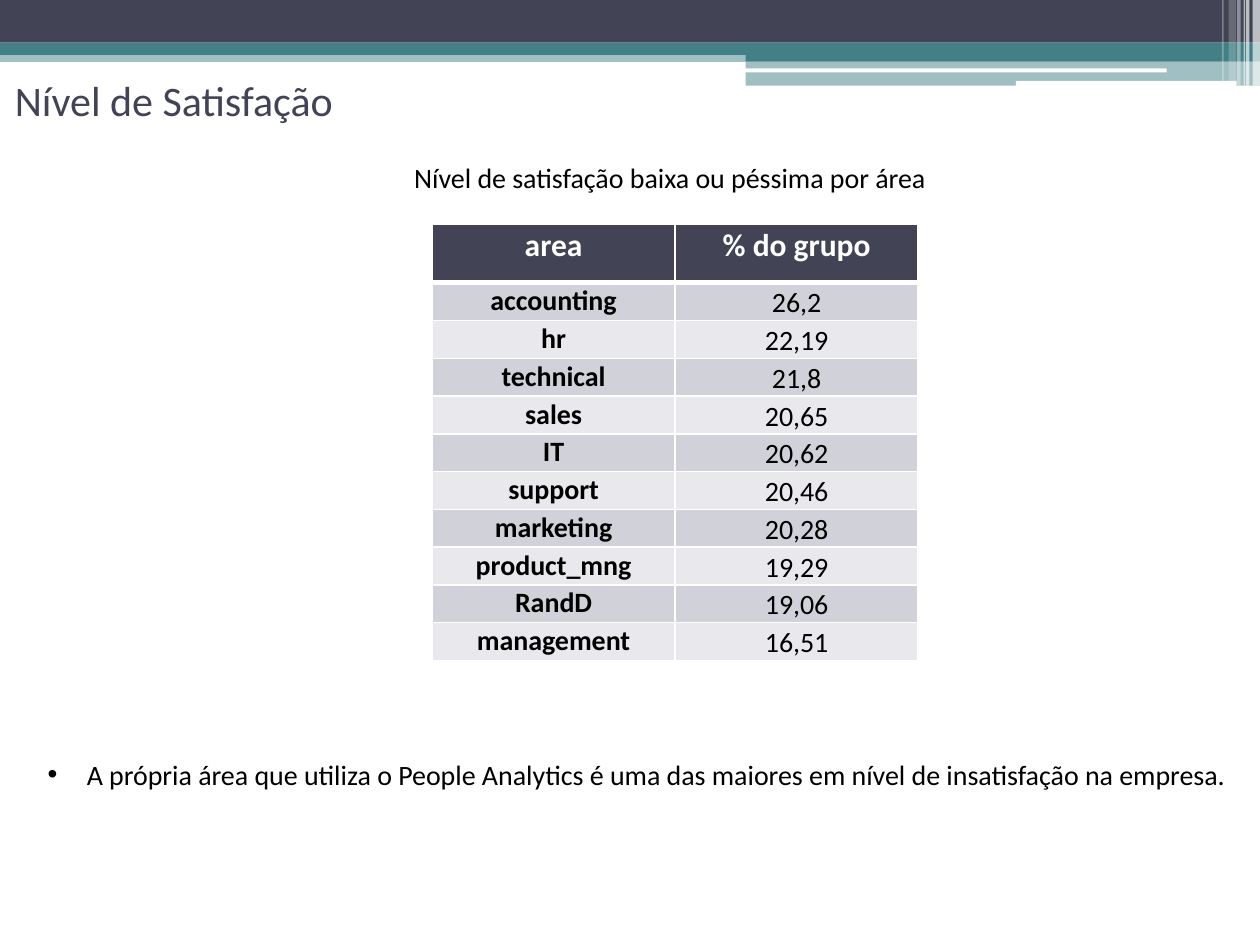
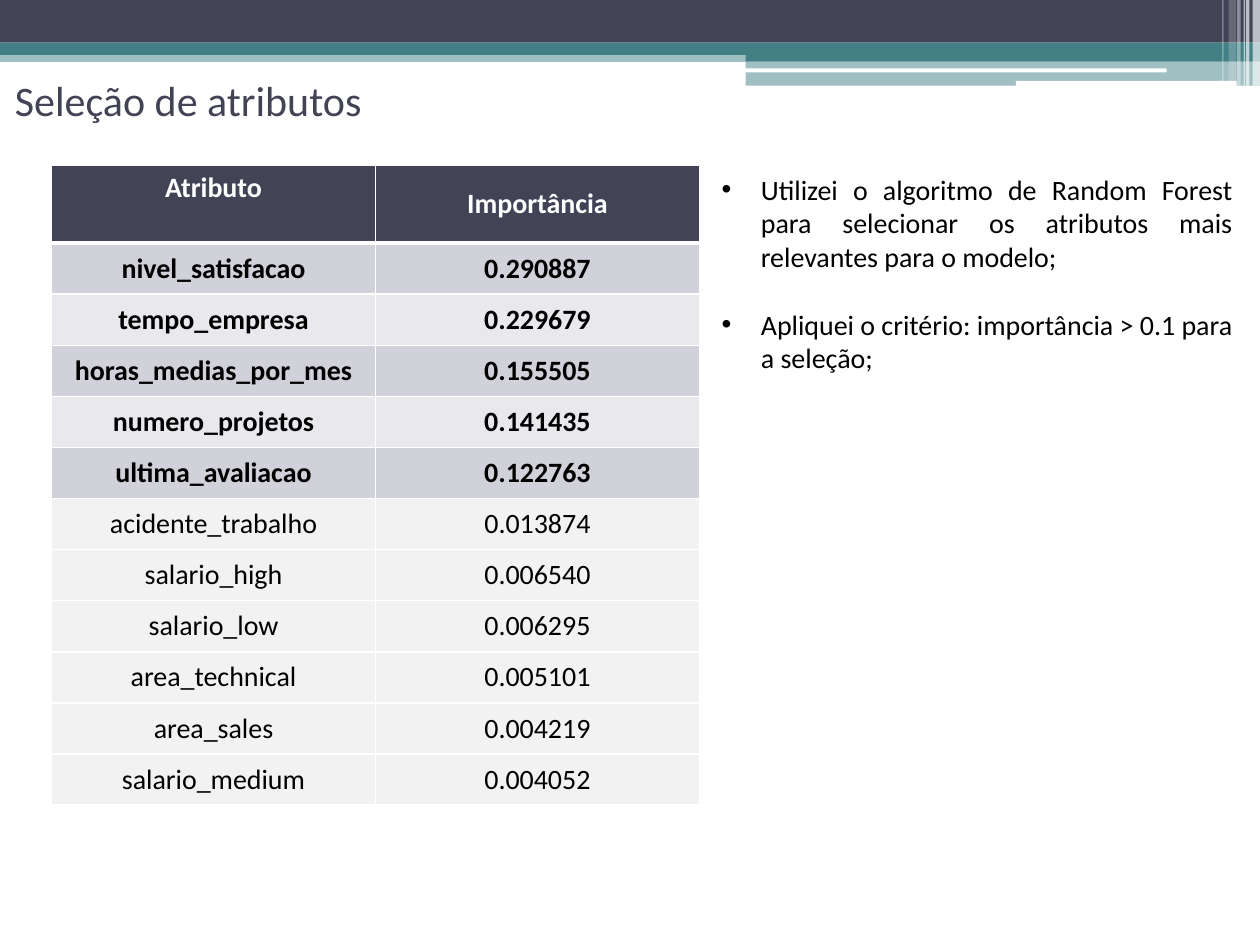
from dataclasses import dataclass
from typing import Any, Callable, NamedTuple

from lxml.etree import SubElement
from pptx import Presentation
from pptx.dml.color import RGBColor
from pptx.enum.shapes import MSO_SHAPE
from pptx.enum.text import MSO_ANCHOR, PP_ALIGN
from pptx.oxml.ns import qn
from pptx.util import Cm, Pt


# Theme
@dataclass(frozen=True)
class Theme:
    font: str = "Calibri"
    dark: RGBColor = RGBColor(0x42, 0x44, 0x56)
    teal: RGBColor = RGBColor(0x43, 0x80, 0x86)
    white: RGBColor = RGBColor(0xFF, 0xFF, 0xFF)
    black: RGBColor = RGBColor(0, 0, 0)
    band_odd: RGBColor = RGBColor(0xD1, 0xD1, 0xDA)
    band_even: RGBColor = RGBColor(0xE9, 0xE9, 0xED)
    muted: RGBColor = RGBColor(0xF2, 0xF2, 0xF2)
    title: Pt = Pt(24)
    large: Pt = Pt(18)
    body: Pt = Pt(16)
    thin: Pt = Pt(1)
    thick: Pt = Pt(3)


T = Theme()


class Box(NamedTuple):
    """Left, top, width and height in centimetres."""
    x: float
    y: float
    w: float
    h: float

    def lengths(self) -> list[Cm]:
        return [Cm(v) for v in self]


class Band(NamedTuple):
    box: Box
    color: RGBColor
    opacity: int = 100
    shape: MSO_SHAPE = MSO_SHAPE.RECTANGLE


class RowStyle(NamedTuple):
    fill: RGBColor
    bold: tuple[bool, bool]


@dataclass(frozen=True)
class TableSpec:
    box: Box
    head_height: float
    head: tuple[str, str]
    head_size: Pt
    rows: list[tuple[str, str]]
    row_style: Callable[[int, str], RowStyle]
    head_anchors: tuple[MSO_ANCHOR, MSO_ANCHOR]
    anchors: tuple[MSO_ANCHOR, MSO_ANCHOR]
    margins: tuple[float, float, float, float]  # left, top, right, bottom


# Header decoration shared by the slides
ROUND = MSO_SHAPE.ROUNDED_RECTANGLE
BANDS = [
    Band(Box(0, 1.02, 25.4, 0.23), T.teal, 50),
    Band(Box(0, 0, 25.4, 0.86), T.dark),
    Band(Box(0, 0.86, 25.4, 0.25), T.teal),
    Band(Box(15.03, 0.99, 10.37, 0.24), T.teal),
    Band(Box(15.03, 1.23, 10.37, 0.5), T.teal, 50),
    Band(Box(15.02, 1.38, 8.5, 0.08), T.white, shape=ROUND),
    Band(Box(20.48, 1.63, 4.45, 0.1), T.white, shape=ROUND),
] + [
    Band(Box(x, 0, w, h), T.white, opacity)
    for x, w, h, opacity in [
        (25.25, 0.15, 1.73, 65), (25.12, 0.07, 1.73, 65),
        (25.07, 0.03, 1.73, 60), (24.94, 0.07, 1.73, 40),
        (24.77, 0.15, 1.63, 20), (24.64, 0.03, 1.63, 30),
    ]
]


# Helpers
def assign(obj: Any, **values: Any) -> None:
    for name, value in values.items():
        setattr(obj, name, value)


def write(p: Any, text: str, size: Pt, color: RGBColor, bold: bool = False) -> None:
    r = p.add_run()
    r.text = text
    assign(r.font, name=T.font, size=size, bold=bold)
    r.font.color.rgb = color


def add_band(s: Any, band: Band) -> None:
    sp = s.shapes.add_shape(band.shape, *band.box.lengths())
    sp.shadow.inherit = False
    sp.line.fill.background()
    sp.fill.solid()
    sp.fill.fore_color.rgb = band.color
    if band.opacity < 100:
        color = sp._element.spPr.find(".//" + qn("a:srgbClr"))
        SubElement(color, qn("a:alpha"), val=str(band.opacity * 1000))


def add_text(s: Any, box: Box, text: str, size: Pt = T.body,
             color: RGBColor = T.black, anchor: MSO_ANCHOR = MSO_ANCHOR.TOP) -> None:
    tf = s.shapes.add_textbox(*box.lengths()).text_frame
    assign(tf, word_wrap=True, vertical_anchor=anchor)
    write(tf.paragraphs[0], text, size, color)


def add_bullets(s: Any, box: Box, items: list[str]) -> None:
    tf = s.shapes.add_textbox(*box.lengths()).text_frame
    tf.word_wrap = True
    for i, item in enumerate(items):
        p = tf.add_paragraph() if i else tf.paragraphs[0]
        assign(p, alignment=PP_ALIGN.JUSTIFY, space_before=Cm(0.69 if i else 0))
        pPr = p._p.get_or_add_pPr()
        pPr.set("marL", str(Cm(0.79)))
        pPr.set("indent", str(-Cm(0.79)))
        SubElement(pPr, qn("a:buFont"), typeface="Arial")
        SubElement(pPr, qn("a:buChar"), char="•")
        write(p, item, T.body, T.black)


def set_borders(cell: Any, top: Pt, bottom: Pt) -> None:
    tcPr = cell._tc.get_or_add_tcPr()
    widths = {"lnL": T.thin, "lnR": T.thin, "lnT": top, "lnB": bottom}
    for i, (tag, width) in enumerate(widths.items()):
        ln = SubElement(tcPr, qn("a:" + tag), w=str(width))
        fill = SubElement(ln, qn("a:solidFill"))
        SubElement(fill, qn("a:srgbClr"), val=str(T.white))
        tcPr.insert(i, ln)  # borders precede the cell fill


def add_table(s: Any, spec: TableSpec) -> None:
    rows = [spec.head, *spec.rows]
    table = s.shapes.add_table(len(rows), 2, *spec.box.lengths()).table
    for column in table.columns:
        column.width = Cm(spec.box.w / 2)
    row_height = (spec.box.h - spec.head_height) / len(spec.rows)
    sides = ("margin_left", "margin_top", "margin_right", "margin_bottom")
    margins = dict(zip(sides, map(Cm, spec.margins)))

    for i, row in enumerate(rows):
        is_head = i == 0
        table.rows[i].height = Cm(spec.head_height if is_head else row_height)
        style = RowStyle(T.dark, (True, True)) if is_head else spec.row_style(i, row[1])
        anchors = spec.head_anchors if is_head else spec.anchors
        size = spec.head_size if is_head else T.body
        for j, text in enumerate(row):
            cell = table.cell(i, j)
            assign(cell, vertical_anchor=anchors[j], **margins)
            cell.fill.solid()
            cell.fill.fore_color.rgb = style.fill
            set_borders(cell, top=T.thick if i == 1 else T.thin,
                        bottom=T.thick if is_head else T.thin)
            p = cell.text_frame.paragraphs[0]
            p.alignment = PP_ALIGN.CENTER
            write(p, text, size, T.white if is_head else T.black, style.bold[j])


def add_slide(prs: Any, title: str) -> Any:
    s = prs.slides.add_slide(prs.slide_layouts[6])
    for band in BANDS:
        add_band(s, band)
    add_text(s, Box(0.05, 0.53, 22.86, 2.97), title, T.title, T.dark, MSO_ANCHOR.MIDDLE)
    return s


# Row rules
def banded(i: int) -> RGBColor:
    return T.band_odd if i % 2 else T.band_even


def area_style(i: int, value: str) -> RowStyle:
    return RowStyle(banded(i), (True, False))


def attribute_style(i: int, value: str) -> RowStyle:
    selected = float(value) > 0.1
    return RowStyle(banded(i) if selected else T.muted, (selected, selected))


# Table contents
TOP, MIDDLE, BOTTOM = MSO_ANCHOR.TOP, MSO_ANCHOR.MIDDLE, MSO_ANCHOR.BOTTOM

AREAS = TableSpec(
    box=Box(8.71, 4.53, 9.8, 8.79), head_height=1.17,
    head=("area", "% do grupo"), head_size=T.large,
    rows=[
        ("accounting", "26,2"), ("hr", "22,19"), ("technical", "21,8"),
        ("sales", "20,65"), ("IT", "20,62"), ("support", "20,46"),
        ("marketing", "20,28"), ("product_mng", "19,29"),
        ("RandD", "19,06"), ("management", "16,51"),
    ],
    row_style=area_style, head_anchors=(TOP, TOP), anchors=(TOP, BOTTOM),
    margins=(0.03, 0.03, 0.03, 0),
)

ATTRIBUTES = TableSpec(
    box=Box(1.04, 3.34, 13.06, 12.9), head_height=1.56,
    head=("Atributo", "Importância"), head_size=T.body,
    rows=[
        ("nivel_satisfacao", "0.290887"), ("tempo_empresa", "0.229679"),
        ("horas_medias_por_mes", "0.155505"), ("numero_projetos", "0.141435"),
        ("ultima_avaliacao", "0.122763"), ("acidente_trabalho", "0.013874"),
        ("salario_high", "0.006540"), ("salario_low", "0.006295"),
        ("area_technical", "0.005101"), ("area_sales", "0.004219"),
        ("salario_medium", "0.004052"),
    ],
    row_style=attribute_style, head_anchors=(TOP, MIDDLE), anchors=(MIDDLE, MIDDLE),
    margins=(0.2, 0.1, 0.2, 0.1),
)

# Presentation
prs = Presentation()
assign(prs, slide_width=Cm(25.4), slide_height=Cm(19.05))

# Slide 1: satisfaction by area
s = add_slide(prs, "Nível de Satisfação")
add_table(s, AREAS)
add_text(s, Box(8.1, 3.12, 12.6, 0.94), "Nível de satisfação baixa ou péssima por área")
add_bullets(s, Box(0.71, 15.14, 24.41, 0.94), [
    "A própria área que utiliza o People Analytics é uma das maiores em nível "
    "de insatisfação na empresa.",
])

# Slide 2: attribute selection
s = add_slide(prs, "Seleção de atributos")
add_table(s, ATTRIBUTES)
add_bullets(s, Box(14.3, 3.35, 10.8, 5.89), [
    "Utilizei o algoritmo de Random Forest para selecionar os atributos mais "
    "relevantes para o modelo;",
    "Apliquei o critério: importância > 0.1 para a seleção;",
])

prs.save("out.pptx")
